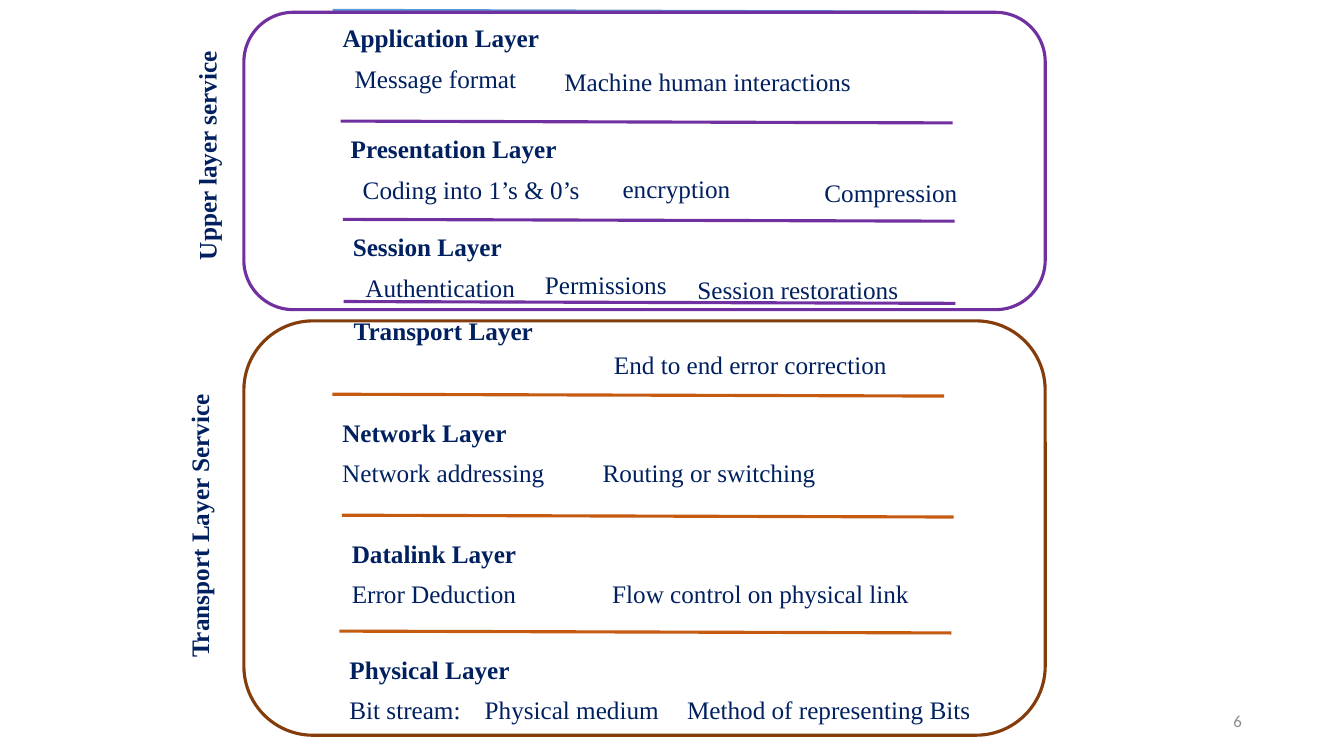
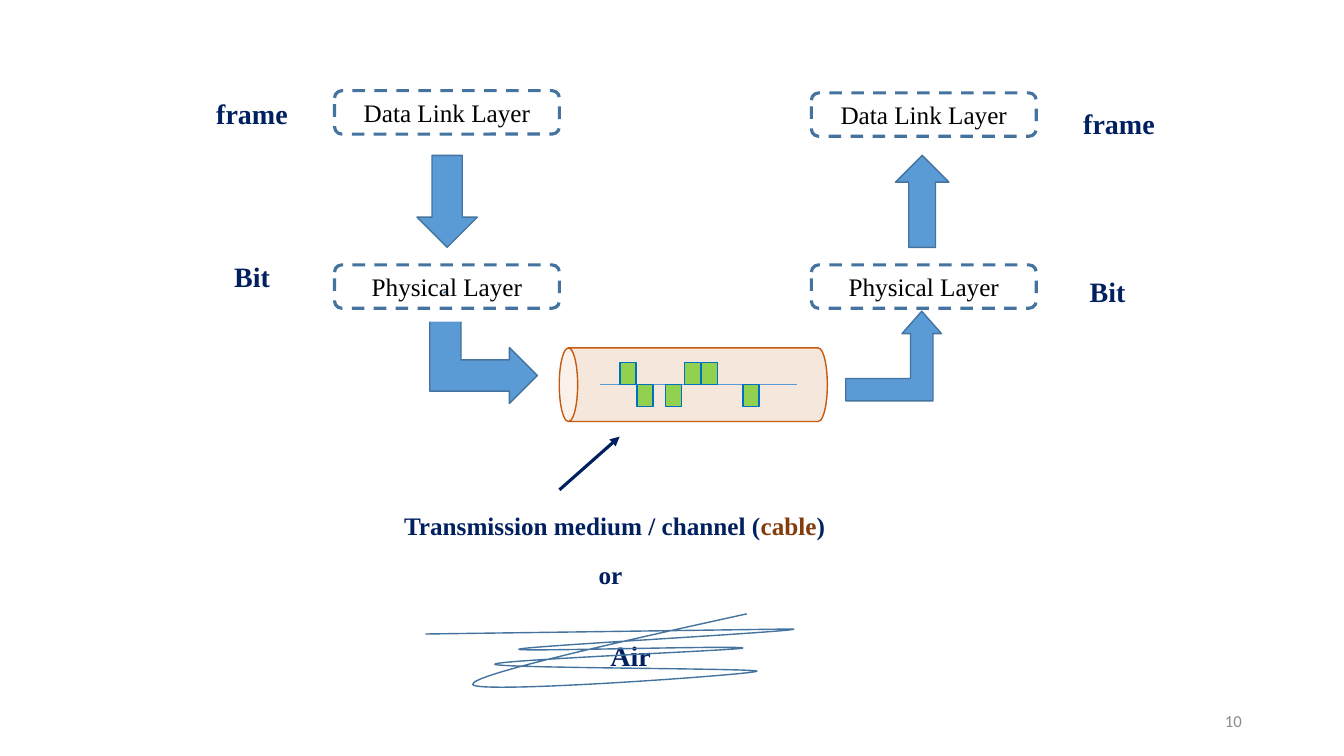
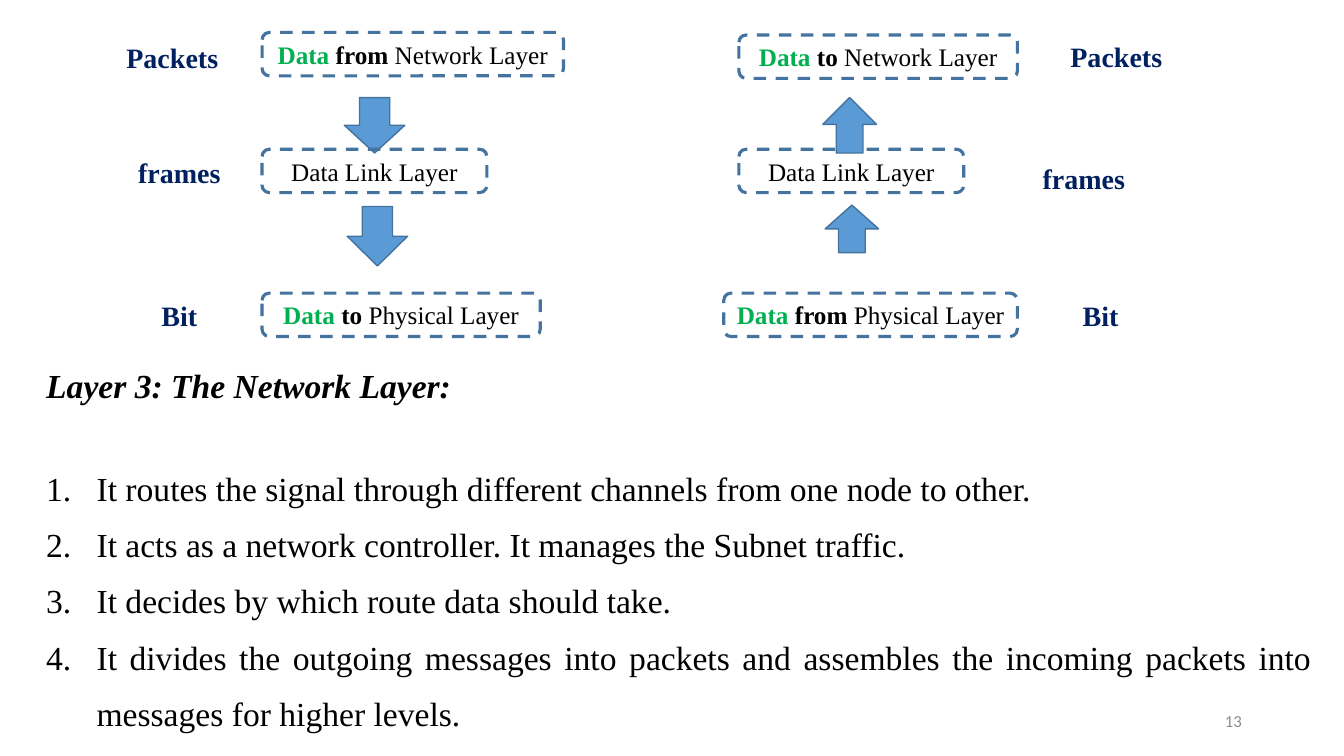
from lxml.etree import SubElement
from pptx import Presentation
from pptx.dml.color import RGBColor
from pptx.enum.dml import MSO_LINE
from pptx.enum.shapes import MSO_CONNECTOR, MSO_SHAPE
from pptx.enum.text import MSO_ANCHOR, PP_ALIGN
from pptx.oxml.ns import qn
from pptx.util import Pt

NAVY, BLACK, WHITE, GREY = "002060", "000000", "FFFFFF", "8C8C8C"
BLUE, EDGE, PULSE_EDGE = "5B9BD5", "43739E", "0070C0"
ORANGE, BROWN, PURPLE = "C55A11", "843C0B", "7030A0"
GREEN, LIME = "00B050", "92D050"
SERIF = "Times New Roman"
NODE_H, NODE_W = 31, 160.6


def rgb(color):
    return RGBColor.from_string(color)


def write(p, runs, size=18, color=NAVY, bold=False, align=PP_ALIGN.LEFT, font=SERIF):
    """Fill a paragraph from a string or from (text, colour, bold) runs."""
    p.alignment = align
    p.font.name, p.font.size = font, Pt(size)
    if isinstance(runs, str):
        p.font.bold, p.font.color.rgb = bold, rgb(color)
        p.add_run().text = runs
        return
    for text, run_color, run_bold in runs:
        r = p.add_run()
        r.text = text
        r.font.bold, r.font.color.rgb = run_bold, rgb(run_color)


def add_text(s, x, y, w, h, runs, **style):
    sp = s.shapes.add_textbox(Pt(x), Pt(y), Pt(w), Pt(h))
    sp.text_frame.word_wrap = True
    write(sp.text_frame.paragraphs[0], runs, **style)
    return sp


def paint(sp, fill=None, line=None, width=1):
    sp.shadow.inherit = False
    if fill:
        sp.fill.solid()
        sp.fill.fore_color.rgb = rgb(fill)
    else:
        sp.fill.background()
    if line:
        sp.line.color.rgb = rgb(line)
        sp.line.width = Pt(width)
    else:
        sp.line.fill.background()


def add_shape(s, kind, x, y, w, h, fill=None, line=None, width=1, rotation=0, adj=()):
    sp = s.shapes.add_shape(kind, Pt(x), Pt(y), Pt(w), Pt(h))
    sp.rotation = rotation
    for i, value in enumerate(adj):
        sp.adjustments[i] = value
    paint(sp, fill, line, width)
    return sp


def add_line(s, x1, y1, x2, y2, color, width=2.25, arrow=False):
    cn = s.shapes.add_connector(MSO_CONNECTOR.STRAIGHT, Pt(x1), Pt(y1), Pt(x2), Pt(y2))
    cn.line.color.rgb = rgb(color)
    cn.line.width = Pt(width)
    props = cn._element.spPr
    if arrow:
        SubElement(props.find(qn("a:ln")), qn("a:tailEnd"), type="triangle")
    SubElement(props, qn("a:effectLst"))


def label(s, text, cx, y, size=20):
    """Bold caption centred on cx."""
    add_text(s, cx - 45, y, 90, 31.7, text, size=size, bold=True, align=PP_ALIGN.CENTER)


def new_slide(prs, number):
    s = prs.slides.add_slide(prs.slide_layouts[6])
    sp = add_text(s, 678.2, 500.4, 216, 28.8, number, size=12, color=GREY,
                  align=PP_ALIGN.RIGHT, font="Calibri")
    sp.text_frame.vertical_anchor = MSO_ANCHOR.MIDDLE
    return s


# Layers of the model

def layer(s, x, y, color, gap, title, items):
    """Rule at (x, y), title below it, items offset from the title."""
    add_line(s, x, y, x + 437, y + 1.3, color)
    add_text(s, x, y + gap, 170, 28.8, title, bold=True)
    for dx, dy, w, text in items:
        add_text(s, x + dx, y + gap + dy, w, 28.8, text)


def service(s, y, h, color, title, title_x, title_cy):
    """Rounded frame around a group of layers with a vertical title."""
    add_shape(s, MSO_SHAPE.ROUNDED_RECTANGLE, 174.2, y, 572.4, h, line=color, width=2.25)
    sp = add_text(s, title_x - 116.6, title_cy - 14.4, 233.2, 28.8, title, bold=True,
                  align=PP_ALIGN.CENTER)
    sp.rotation = 270


def layers_slide(prs):
    s = new_slide(prs, "6")
    layers = [
        (237.6, 7.4, BLUE, 5.3, "Application Layer",
         [(8.6, 29, 195, "Message format"), (158.4, 31, 233, "Machine human interactions")]),
        (243.4, 86.5, PURPLE, 5, "Presentation Layer",
         [(8.6, 29.4, 195, "Coding into 1’s & 0’s"), (194.2, 29, 165, "encryption"),
          (338.4, 31.6, 165, "Compression")]),
        (244.9, 156.7, PURPLE, 5, "Session Layer",
         [(9, 29, 125, "Authentication"), (137.3, 27, 125, "Permissions"),
          (246.2, 31, 165, "Session restorations")]),
        (245.5, 215.4, PURPLE, 6.5, "Transport Layer",
         [(186, 24, 233, "End to end error correction")]),
        (237.4, 281.6, ORANGE, 13, "Network Layer",
         [(0, 28.8, 164, "Network addressing"), (186, 28.8, 233, "Routing or switching")]),
        (244.2, 368, ORANGE, 13, "Datalink Layer",
         [(0, 28.8, 146, "Error Deduction"),
          (186, 28.8, 233, "Flow control on physical link")]),
        (242.5, 450.8, ORANGE, 13, "Physical Layer",
         [(0, 28.6, 129, "Bit stream:"), (96.6, 28.6, 145, "Physical medium"),
          (241.2, 28.6, 233, "Method of representing Bits")]),
    ]
    for row in layers:
        layer(s, *row)
    service(s, 229.2, 296, BROWN, "Transport Layer Service", 142.2, 375.8)
    service(s, 8.8, 212.4, PURPLE, "Upper layer service", 147.6, 111.1)


# Columns of layers joined by arrows

def node(s, x, y, w, runs):
    sp = add_shape(s, MSO_SHAPE.ROUNDED_RECTANGLE, x, y, w, NODE_H, line=EDGE, width=2.25)
    sp.line.dash_style = MSO_LINE.DASH
    tf = sp.text_frame
    tf.word_wrap = False
    tf.vertical_anchor = MSO_ANCHOR.MIDDLE
    write(tf.paragraphs[0], runs, color=BLACK, align=PP_ALIGN.CENTER)


def column(s, x, arrow_kind, arrow_w, steps):
    """Steps in the order of the data: node, caption, and the arrow that leaves it."""
    for (dx, y, w, runs), (text, text_dx, text_y), arrow in steps:
        node(s, x + dx, y, w, runs)
        label(s, text, x + text_dx, text_y)
        if arrow:
            arrow_dx, arrow_y, arrow_h = arrow
            add_shape(s, arrow_kind, x + arrow_dx, arrow_y, arrow_w, arrow_h, BLUE, EDGE)


def sender(s, x, steps):
    column(s, x, MSO_SHAPE.DOWN_ARROW, 43.2, steps)


def receiver(s, x, steps):
    column(s, x, MSO_SHAPE.UP_ARROW, 38.2, steps)


def cable(s, x, y, w, h):
    """Lying cylinder with a signal of pulses above and below its baseline."""
    can = add_shape(s, MSO_SHAPE.CAN, x + (w - h) / 2, y + (h - w) / 2, h, w,
                    ORANGE, ORANGE, rotation=270)
    color = can._element.spPr.find(qn("a:solidFill")).find(qn("a:srgbClr"))
    SubElement(color, qn("a:alpha"), val="14000")
    base, pulse_h = y + h / 2, 15.8
    add_line(s, x + 29.2, base, x + 169.6, base, BLUE, 0.5)
    pulses = [(43.4, 1), (55.4, 0), (76, 0), (89.4, 1), (101.6, 1), (131.2, 0)]
    for dx, up in pulses:
        add_shape(s, MSO_SHAPE.RECTANGLE, x + dx, base - up * pulse_h, 11.5, pulse_h,
                  LIME, PULSE_EDGE)


def scribble(s, x, y):
    """Loose stroke: one straight piece, then curves of three points each."""
    points = [
        (0, 14.4), (262.8, 10.8),
        (273.6, 12.2), (72.8, 23), (67, 25.2),
        (60.5, 27.3), (229.7, 22.3), (226.8, 24.5),
        (224, 25.9), (48.3, 33.1), (49.7, 36),
        (51.9, 38.9), (239.8, 38.9), (236.9, 41),
        (234.8, 43.2), (35.3, 57.6), (33.9, 50.4),
        (32.4, 43.9), (131.1, 21.6), (229.7, 0),
    ]
    points = [(Pt(x + dx), Pt(y + dy)) for dx, dy in points]
    builder = s.shapes.build_freeform(*points[0])
    builder.add_line_segments(points[1:], close=False)
    sp = builder.convert_to_shape()
    paint(sp, line=EDGE)
    outline = next(sp._element.iter(qn("a:pathLst")))[0]
    pieces = outline.findall(qn("a:lnTo"))[1:]
    for i in range(0, len(pieces), 3):
        curve = SubElement(outline, qn("a:cubicBezTo"))
        for piece in pieces[i:i + 3]:
            curve.append(piece[0])
            outline.remove(piece)


def medium_slide(prs):
    s = new_slide(prs, "10")
    add_shape(s, MSO_SHAPE.LEFT_UP_ARROW, 301, 205.4, 79.9, 85.7, BLUE, EDGE,
              rotation=90, adj=(0.28, 0.25, 0.25))
    add_shape(s, MSO_SHAPE.RECTANGLE, 283.7, 209.5, 57.6, 20.2, WHITE)
    add_shape(s, MSO_SHAPE.BENT_UP_ARROW, 604.1, 222.3, 68.4, 64.1, BLUE, EDGE,
              adj=(0.25, 0.22, 0.25))
    sender(s, 239, [
        ((0, 64.8, NODE_W, "Data Link Layer"), ("frame", -59, 65.5), (58.8, 111, 65.7)),
        ((0, 189.2, NODE_W, "Physical Layer"), ("Bit", -59, 181.8), None),
    ])
    receiver(s, 579.6, [
        ((0, 189.2, NODE_W, "Physical Layer"), ("Bit", 211.5, 192.7), (60, 111, 65.7)),
        ((0, 66.4, NODE_W, "Data Link Layer"), ("frame", 219.7, 72.7), None),
    ])
    cable(s, 399.5, 248.5, 191.5, 52.6)
    add_line(s, 399.6, 349.9, 442.6, 311.9, NAVY, arrow=True)
    add_text(s, 281.5, 360.7, 322.6, 28.8,
             [("Transmission medium / channel (", NAVY, True), ("cable", BROWN, True),
              (")", NAVY, True)])
    label(s, "or", 436, 396, size=18)
    label(s, "Air", 450.5, 452.2)
    scribble(s, 303.8, 438.5)


def data(word, layer_name):
    return [("Data ", GREEN, True), (word, BLACK, True), (" " + layer_name, BLACK, False)]


def numbered_list(s, x, y, w, h, title, items):
    sp = add_text(s, x, y, w, h, title, size=24, color=BLACK, bold=True)
    tf = sp.text_frame
    head = tf.paragraphs[0]
    head.font.italic = True
    head.line_spacing, head.space_after = 0.8, Pt(33)
    for item in items:
        p = tf.add_paragraph()
        write(p, item, size=24, color=BLACK, align=PP_ALIGN.JUSTIFY)
        p.line_spacing = 1.4
        props = p._p.get_or_add_pPr()
        props.set("marL", str(Pt(36)))
        props.set("indent", str(-Pt(36)))
        bullet = props.makeelement(qn("a:buAutoNum"), {"type": "arabicPeriod"})
        props.find(qn("a:defRPr")).addprevious(bullet)


def network_slide(prs):
    s = new_slide(prs, "13")
    numbered_list(s, 25.9, 262.8, 918, 267, "Layer 3: The Network Layer:", [
        "It routes the signal through different channels from one node to other.",
        "It acts as a network controller. It manages the Subnet traffic.",
        "It decides by which route data should take.",
        "It divides the outgoing messages into packets and assembles the incoming "
        "packets into messages for higher levels.",
    ])
    sender(s, 187.2, [
        ((0, 23.2, 215.3, data("from", "Network Layer")), ("Packets", -64.1, 25.2),
         (58.8, 69.7, 39.6)),
        ((0, 106.6, NODE_W, "Data Link Layer"), ("frames", -59.1, 107.7),
         (60.8, 147.5, 42.5)),
        ((0, 209.4, 198.7, data("to", "Physical Layer")), ("Bit", -59.1, 209.8), None),
    ])
    receiver(s, 527.8, [
        ((-10.8, 209.4, 209.7, data("from", "Physical Layer")), ("Bit", 258.3, 209.8),
         (61.6, 146.5, 34)),
        ((0, 106.6, NODE_W, "Data Link Layer"), ("frames", 246.4, 111.8), (60, 69.7, 39.6)),
        ((0, 25, 198.9, data("to", "Network Layer")), ("Packets", 269.6, 24.5), None),
    ])


def main():
    prs = Presentation()
    prs.slide_width, prs.slide_height = Pt(960), Pt(540)
    layers_slide(prs)
    medium_slide(prs)
    network_slide(prs)
    prs.save("out.pptx")


if __name__ == "__main__":
    main()
